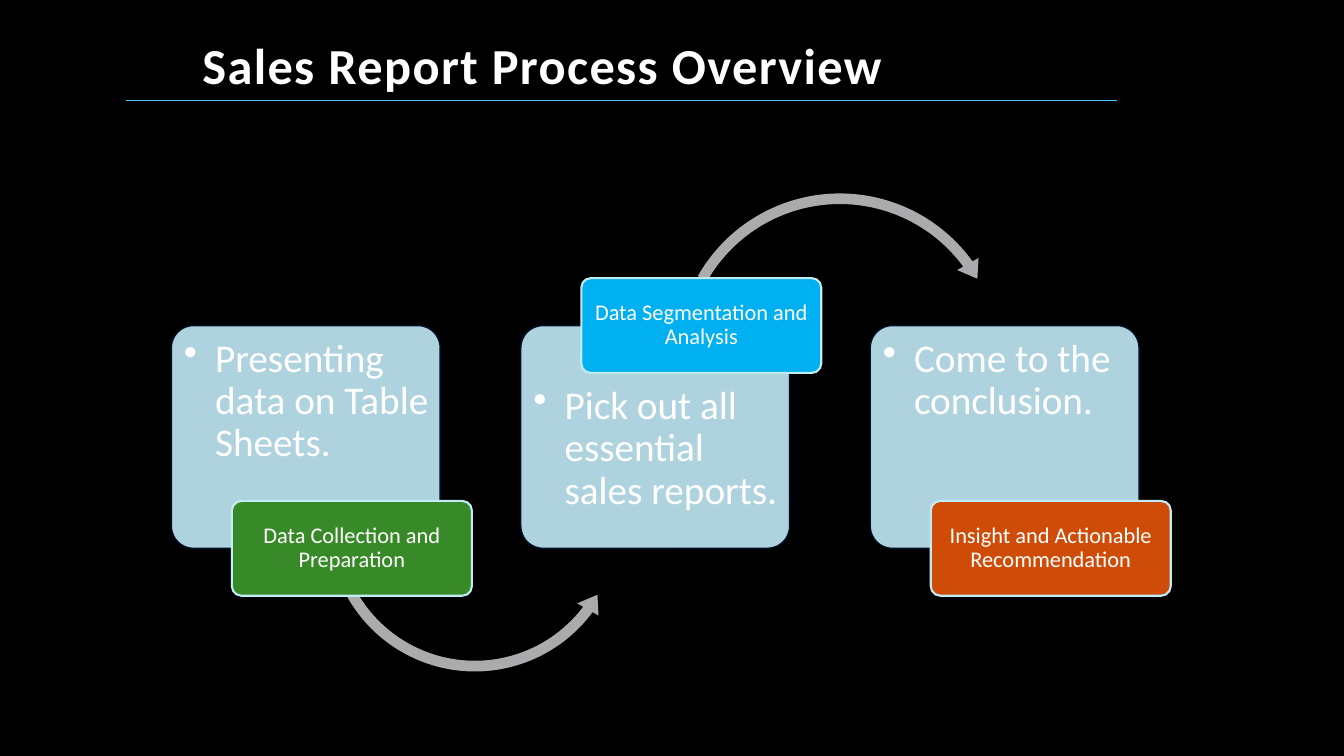
import pptx
import pptx.util
import pptx.dml.color
import pptx.enum.shapes
import pptx.enum.text
import pptx.oxml
import pptx.oxml.ns

Inches = pptx.util.Inches
Shape = pptx.enum.shapes.MSO_SHAPE
Align = pptx.enum.text.PP_ALIGN
Anchor = pptx.enum.text.MSO_ANCHOR
qn = pptx.oxml.ns.qn

COLOURS = {
    "black": "000000", "white": "FFFFFF", "card": "C1EBF7", "edge": "001027",
    "arrow": "ABABAD", "rule": "56C5FF",
    "green": "388A29", "blue": "00B0F0", "orange": "CE4C07",
}
COLOURS = {name: pptx.dml.color.RGBColor.from_string(code) for name, code in COLOURS.items()}

WIDTH, HEIGHT = 13.33, 7.5
LEFT, TOP, PITCH = 1.7, 3.23, 0.26 * WIDTH
CARD_WIDTH, CARD_HEIGHT = 0.2 * WIDTH, 2.21
LABEL_WIDTH, LABEL_HEIGHT, LABEL_SHIFT = 2.38, 0.94, 0.6


def add_panel(kind, place, fill, adjustments, edge=None, weight=1):
    panel = page.shapes.add_shape(kind, *map(Inches, place))
    panel.shadow.inherit = False
    panel.fill.solid()
    panel.fill.fore_color.rgb = COLOURS[fill]
    for index, value in enumerate(adjustments):
        panel.adjustments[index] = value
    if edge:
        panel.line.color.rgb = COLOURS[edge]
        panel.line.width = pptx.util.Pt(weight)
    else:
        panel.line.fill.background()
    return panel


def write_text(box, text, size, align, anchor, insets, bold=False, indent=0):
    frame = box.text_frame
    sides = ("margin_left", "margin_top", "margin_right", "margin_bottom")
    frame_format = dict(zip(sides, map(Inches, insets)), word_wrap=True, vertical_anchor=anchor)
    for name, value in frame_format.items():
        setattr(frame, name, value)
    para = frame.paragraphs[0]
    para.alignment, para.line_spacing = align, 0.9
    if indent:
        properties = para._p.get_or_add_pPr()
        properties.set("marL", str(Inches(indent)))
        properties.set("indent", str(-Inches(indent)))
        bullet = pptx.oxml.parse_xml(f'<a:buChar {pptx.oxml.ns.nsdecls("a")} char="•"/>')
        properties.append(bullet)
    span = para.add_run()
    span.text = text
    for name, value in {"name": "Calibri", "size": pptx.util.Pt(size), "bold": bold}.items():
        setattr(span.font, name, value)
    span.font.color.rgb = COLOURS["white"]
    return span


deck = pptx.Presentation()
deck.slide_width, deck.slide_height = Inches(WIDTH), Inches(HEIGHT)
page = deck.slides.add_slide(deck.slide_layouts[6])
page.background.fill.solid()
page.background.fill.fore_color.rgb = COLOURS["black"]

title = page.shapes.add_textbox(*map(Inches, (1.91, 0.33, 9.83, 0.67)))
heading = write_text(title, "Sales Report Process Overview", 36, Align.JUSTIFY,
                     Anchor.BOTTOM, (0.1, 0.05, 0.1, 0.05), bold=True)
heading._r.get_or_add_rPr().set("spc", "100")

steps = [
    ("Presenting data on Table Sheets.", "Data Collection and Preparation", "green", False,
     (Shape.LEFT_CIRCULAR_ARROW, (3.19, 3.69, 3.04, 3.04), (0.035, 4.277, 22.032, 90.245, 0.04))),
    ("Pick out all essential sales reports.", "Data Segmentation and Analysis", "blue", True,
     (Shape.CIRCULAR_ARROW, (6.64, 1.85, 3.38, 3.38), (0.031, 3.813, 194.431, 125.755, 0.036))),
    ("Come to the conclusion.", "Insight and Actionable Recommendation", "orange", False, None),
]

for column, (detail, label, colour, label_on_top, arrow) in enumerate(steps):
    left = LEFT + column * PITCH
    card = add_panel(Shape.ROUNDED_RECTANGLE, (left, TOP, CARD_WIDTH, CARD_HEIGHT),
                     "card", [0.1], "edge")
    tint = card._element.spPr.find(qn("a:solidFill")).find(qn("a:srgbClr"))
    tint.append(pptx.oxml.parse_xml(f'<a:alpha {pptx.oxml.ns.nsdecls("a")} val="90000"/>'))
    top_inset = 0.06 + label_on_top * LABEL_HEIGHT / 2
    write_text(card, detail, 28, Align.LEFT, Anchor.TOP, (0.06, top_inset, 0.04, 0.06), indent=0.31)

    if arrow:
        kind, place, adjustments = arrow
        add_panel(kind, place, "arrow", adjustments)

    label_top = TOP + (not label_on_top) * CARD_HEIGHT - LABEL_HEIGHT / 2
    tag = add_panel(Shape.ROUNDED_RECTANGLE,
                    (left + LABEL_SHIFT, label_top, LABEL_WIDTH, LABEL_HEIGHT),
                    colour, [0.1], "card", 1.5)
    write_text(tag, label, 16, Align.CENTER, Anchor.MIDDLE, (0.03, 0.02, 0.03, 0.02))

rule = page.shapes.add_connector(pptx.enum.shapes.MSO_CONNECTOR.STRAIGHT,
                                 *map(Inches, (1.25, 1, 11.08, 1)))
rule.line.color.rgb = COLOURS["rule"]
rule.line.width = pptx.util.Pt(0.5)
rule._element.spPr.append(pptx.oxml.parse_xml(f'<a:effectLst {pptx.oxml.ns.nsdecls("a")}/>'))

deck.save("out.pptx")
